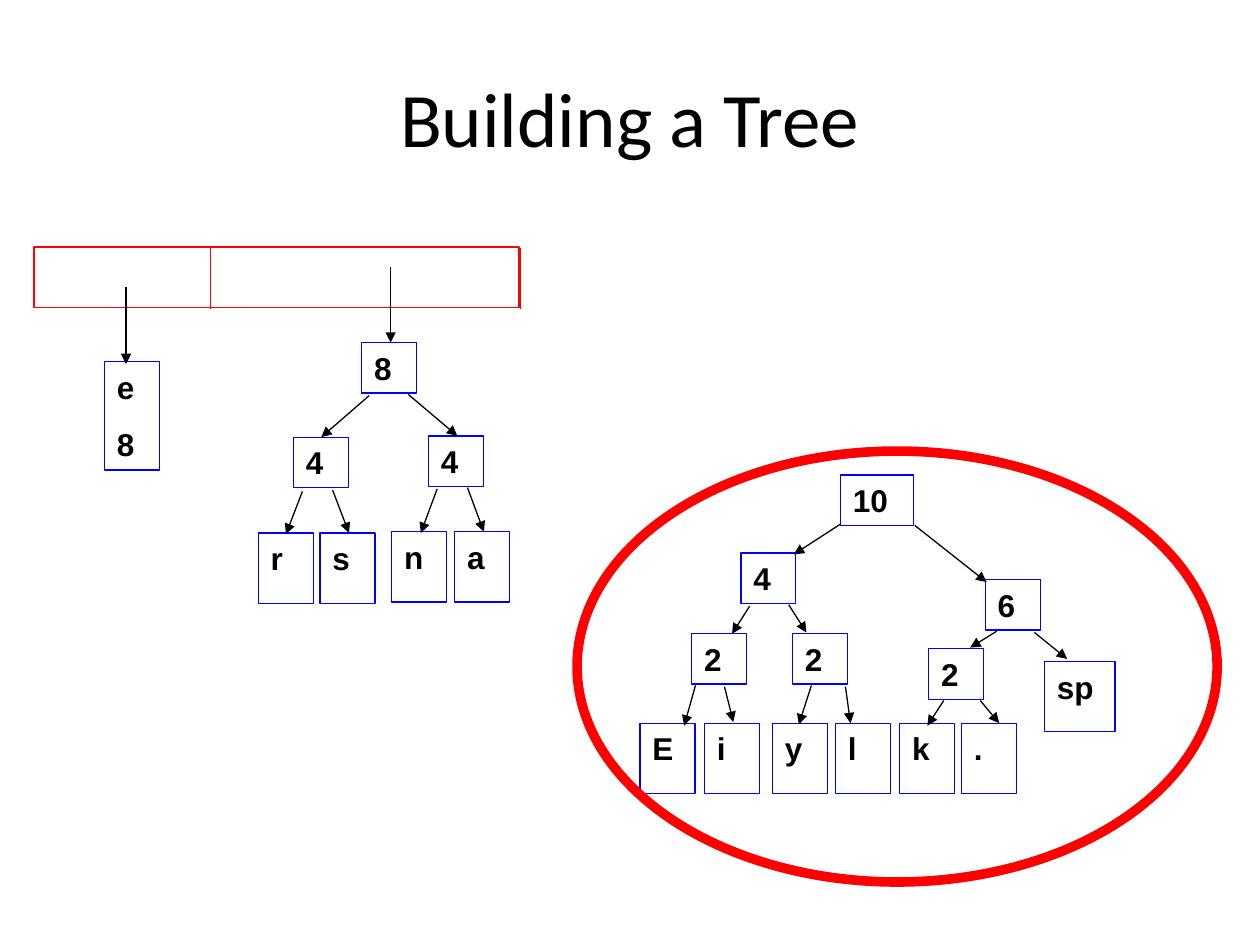
"""Build the slide that shows a Huffman tree being assembled from a queue."""
from lxml import etree
from pptx import Presentation
from pptx import util as u
from pptx.dml.color import RGBColor
from pptx.enum import shapes, text
from pptx.oxml.ns import qn

BLACK = RGBColor(0x00, 0x00, 0x00)
WHITE = RGBColor(0xFF, 0xFF, 0xFF)
RED = RGBColor(0xFF, 0x00, 0x00)
BLUE = RGBColor(0x00, 0x00, 0xFF)

SLIDE_WIDTH, SLIDE_HEIGHT = u.Inches(10), u.Inches(7.5)
COLUMN, ROW = SLIDE_WIDTH / 100, SLIDE_HEIGHT / 75

BOX_WIDTH, COUNT_HEIGHT, LEAF_HEIGHT = 4.36, 4, 5.58
QUEUE_LEFT, QUEUE_TOP, QUEUE_WIDTH, QUEUE_HEIGHT = 2.7, 19.6, 38.5, 4.8
QUEUE_DIVIDERS = (16.7, 41.3)

COUNTS = [
    ("8", 28.7, 27.2), ("4", 23.3, 34.7), ("4", 34, 34.6),
    ("4", 58.8, 43.9), ("6", 78.2, 46),
    ("2", 54.9, 50.3), ("2", 62.9, 50.3), ("2", 73.7, 51.5),
]
LEAF_ROWS = [
    (42.3, [("r", 20.5), ("s", 25.4)]),
    (42.2, [("n", 31.1), ("a", 36.1)]),
    (57.4, [("E", 50.8), ("i", 55.9), ("y", 61.3),
            ("l", 66.3), ("k", 71.4), (".", 76.3)]),
]
QUEUE_ARROWS = [(10, 22.8, 10, 28.9), (31, 21.2, 31, 27.2)]
LEFT_BRANCHES = [
    (29.3, 31.4, 25.5, 34.7), (32.4, 31.3, 36.3, 34.6),
    (24, 39, 22.7, 42.4), (26.4, 38.9, 27.7, 42.3),
    (34.7, 38.8, 33.4, 42.3), (37.1, 38.7, 38.4, 42.2),
]
RIGHT_BRANCHES = [
    (66.7, 41.6, 63, 44), (72.6, 41.7, 78.3, 46.2),
    (59.5, 48.1, 58.1, 50.3), (62.6, 48, 64, 50.2),
    (79.1, 50.1, 77, 51.4), (82.1, 50.2, 84.7, 52.3),
    (55.2, 54.4, 54.3, 57.6), (57.5, 54.5, 58.2, 57.3),
    (64.4, 54.4, 63.4, 57.5), (67.1, 54.5, 67.5, 57.4),
    (74.9, 55.6, 73.6, 57.6), (77.8, 55.6, 79.3, 57.4),
]


def across(columns):
    """Turn grid columns into a length."""
    return u.Emu(round(columns * COLUMN))


def down(rows):
    """Turn grid rows into a length."""
    return u.Emu(round(rows * ROW))


def add_title(slide, wording):
    """Fill and place the title placeholder."""
    title = slide.shapes.title
    title.left, title.top = across(5), down(3)
    title.width, title.height = across(90), down(12.5)
    title.text_frame.vertical_anchor = text.MSO_ANCHOR.MIDDLE
    paragraph = title.text_frame.paragraphs[0]
    paragraph.alignment = text.PP_ALIGN.CENTER
    run = paragraph.add_run()
    run.text = wording
    run.font.name, run.font.size = "Calibri", u.Pt(44)
    run.font.color.rgb = BLACK


def add_outline(slide, kind, left, top, width, height, color, weight=0.75, fill=None):
    """Draw an outlined preset shape, hollow unless a fill is given."""
    outline = slide.shapes.add_shape(
        kind, across(left), down(top), across(width), down(height))
    outline.shadow.inherit = False
    outline.line.color.rgb = color
    outline.line.width = u.Pt(weight)
    if fill is None:
        outline.fill.background()
    else:
        outline.fill.solid()
        outline.fill.fore_color.rgb = fill
    return outline


def add_node(slide, lines, left, top, width=BOX_WIDTH, height=COUNT_HEIGHT):
    """Draw a tree node with one paragraph for each line."""
    node = add_outline(slide, shapes.MSO_SHAPE.RECTANGLE, left, top, width, height, BLUE)
    frame = node.text_frame
    frame.word_wrap = True
    frame.vertical_anchor = text.MSO_ANCHOR.TOP
    for index, wording in enumerate(lines):
        paragraph = frame.add_paragraph() if index else frame.paragraphs[0]
        paragraph.alignment = text.PP_ALIGN.LEFT
        paragraph.space_before = u.Pt(11.2)
        run = paragraph.add_run()
        run.text = wording
        run.font.name, run.font.size, run.font.bold = "Arial", u.Pt(18), True
        run.font.color.rgb = BLACK


def add_line(slide, start_x, start_y, end_x, end_y, color=BLACK, arrow=True):
    """Draw a thin line, with an arrowhead at its end if wanted."""
    line = slide.shapes.add_connector(
        shapes.MSO_CONNECTOR.STRAIGHT,
        across(start_x), down(start_y), across(end_x), down(end_y))
    line.line.color.rgb = color
    line.line.width = u.Pt(0.75)
    if arrow:
        etree.SubElement(line.line._get_or_add_ln(), qn("a:tailEnd"), type="triangle")
    etree.SubElement(line._element.spPr, qn("a:effectLst"))


def add_queue(slide):
    """Draw the queue and its dividers."""
    add_outline(slide, shapes.MSO_SHAPE.RECTANGLE, QUEUE_LEFT, QUEUE_TOP,
                QUEUE_WIDTH, QUEUE_HEIGHT, RED, fill=WHITE)
    for x in QUEUE_DIVIDERS:
        add_line(slide, x, QUEUE_TOP + 0.1, x, QUEUE_TOP + QUEUE_HEIGHT + 0.1, RED, False)


def add_trees(slide):
    """Draw every node and the arrows that join them."""
    for count, left, top in COUNTS:
        add_node(slide, [count], left, top)
    for top, leaves in LEAF_ROWS:
        for letter, left in leaves:
            add_node(slide, [letter], left, top, height=LEAF_HEIGHT)
    add_node(slide, ["10"], 66.7, 37.7, width=5.8)
    add_node(slide, ["sp"], 82.9, 52.5, width=5.6, height=LEAF_HEIGHT)
    add_node(slide, ["e", "8"], 8.3, 28.7, height=8.6)
    for branch in QUEUE_ARROWS + LEFT_BRANCHES + RIGHT_BRANCHES:
        add_line(slide, *branch)


def main():
    """Build and save the slide."""
    deck = Presentation()
    deck.slide_width, deck.slide_height = SLIDE_WIDTH, SLIDE_HEIGHT
    slide = deck.slides.add_slide(deck.slide_layouts[5])
    add_title(slide, "Building a Tree")
    add_queue(slide)
    add_trees(slide)
    add_outline(slide, shapes.MSO_SHAPE.OVAL, 45.8, 35.8, 50.8, 34.2, RED, 5.5)
    deck.save("out.pptx")


if __name__ == "__main__":
    main()
